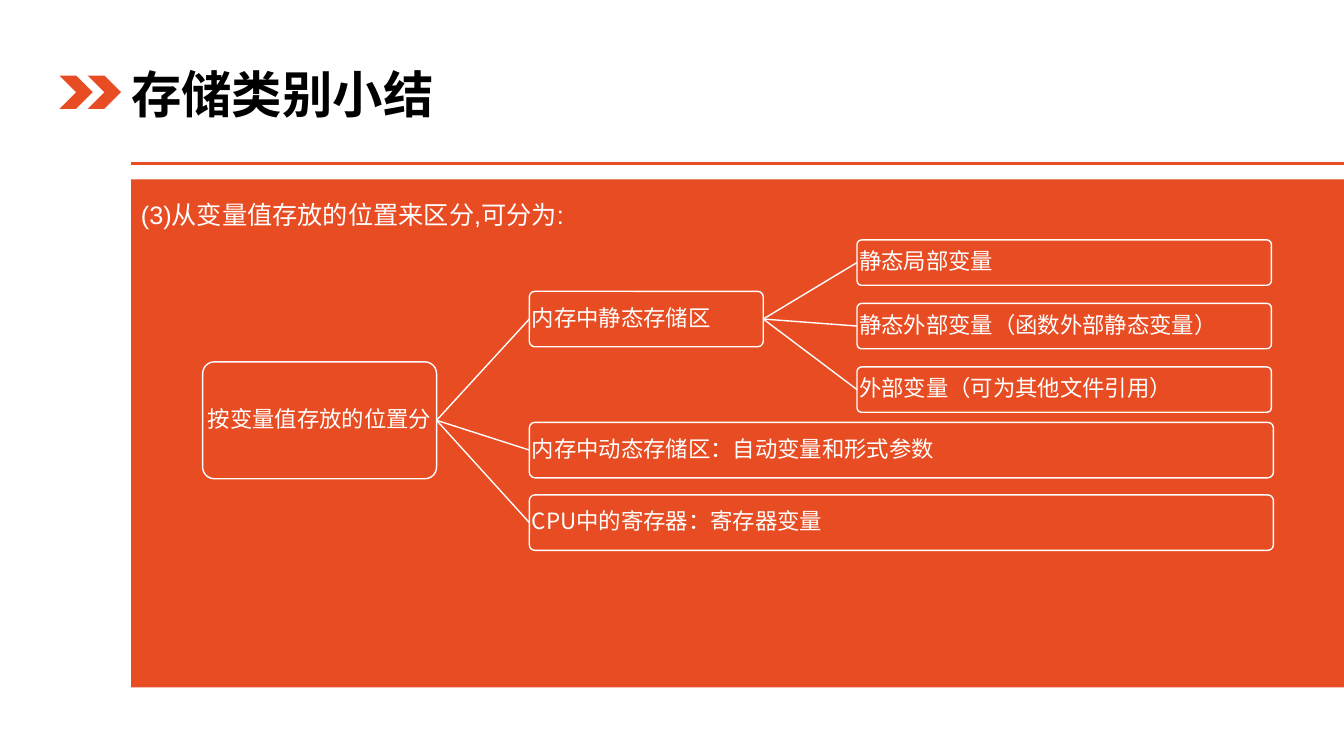
import pptx
import pptx.util
import pptx.dml.color
import pptx.enum.shapes
import pptx.enum.text
import pptx.oxml
import pptx.oxml.ns
from dataclasses import dataclass

Inches, Pt = pptx.util.Inches, pptx.util.Pt
RGB = pptx.dml.color.RGBColor
SHAPE = pptx.enum.shapes.MSO_SHAPE
STRAIGHT = pptx.enum.shapes.MSO_CONNECTOR.STRAIGHT
ALIGN, ANCHOR = pptx.enum.text.PP_ALIGN, pptx.enum.text.MSO_ANCHOR


@dataclass(frozen=True)
class Theme:
    accent: RGB = RGB(0xE8, 0x4C, 0x22)
    white: RGB = RGB(0xFF, 0xFF, 0xFF)
    black: RGB = RGB(0, 0, 0)
    latin: str = "Arial"
    cjk: str = "Noto Sans CJK SC"
    title: int = 36
    heading: int = 18
    node: int = 16


T = Theme()

# Each node: text, top and height from the panel's top, width, children
LEAVES = ["静态局部变量", "静态外部变量（函数外部静态变量）", "外部变量（可为其他文件引用）"]
TREE = ("按变量值存放的位置分", 1.81, 1.16, 2.32, [
    ("内存中静态存储区", 1.11, 0.55, 2.32,
     [(text, 0.6 + 0.63 * i, 0.45, 4.11, []) for i, text in enumerate(LEAVES)]),
    ("内存中动态存储区：自动变量和形式参数", 2.41, 0.55, 7.38, []),
    ("CPU中的寄存器：寄存器变量", 3.13, 0.55, 7.38, []),
])
COLUMNS = [0.71, 3.95, 7.2]  # node lefts by depth, from the panel's left


def write(tf, text, size, color, font, bold=False, align=ALIGN.LEFT):
    tf.text = text
    tf.word_wrap = True
    p = tf.paragraphs[0]
    p.alignment = align
    r = p.runs[0]
    r.font.size, r.font.bold, r.font.name = Pt(size), bold, font
    r.font.color.rgb = color
    ea = pptx.oxml.parse_xml(f'<a:ea {pptx.oxml.ns.nsdecls("a")} typeface="{T.cjk}"/>')
    r.font._element.find(pptx.oxml.ns.qn("a:latin")).addnext(ea)
    return p


def add_box(s, kind, x, y, w, h, line=None):
    sp = s.shapes.add_shape(kind, Inches(x), Inches(y), Inches(w), Inches(h))
    sp.shadow.inherit = False
    sp.fill.solid()
    sp.fill.fore_color.rgb = T.accent
    if line:
        sp.line.color.rgb, sp.line.width = line, Pt(1)
    else:
        sp.line.fill.background()
    return sp


def add_line(s, color, width, x1=0, y1=0, x2=0, y2=0):
    c = s.shapes.add_connector(STRAIGHT, Inches(x1), Inches(y1), Inches(x2), Inches(y2))
    c.line.color.rgb, c.line.width = color, Pt(width)
    c._element.spPr.append(
        pptx.oxml.parse_xml(f'<a:effectLst {pptx.oxml.ns.nsdecls("a")}/>'))
    return c


def add_header(s, x, y, w, h):
    # Double chevron
    for i in range(2):
        add_box(s, SHAPE.CHEVRON, x + 0.28 * i, y + 0.22, 0.33, 0.33)
    # Title
    title = s.shapes.title
    title.left, title.top = Inches(x + 0.61), Inches(y)
    title.width, title.height = Inches(5.94), Inches(0.79)
    tf = title.text_frame
    tf.vertical_anchor = ANCHOR.MIDDLE
    tf.auto_size = pptx.enum.text.MSO_AUTO_SIZE.NONE
    write(tf, "存储类别小结", T.title, T.black, T.cjk, bold=True)
    # Rule under the title
    add_line(s, T.accent, 2.25, x + 0.71, y + h, x + w, y + h)


def add_node(s, x, y, node, depth=0):
    text, top, h, w, children = node
    sp = add_box(s, SHAPE.ROUNDED_RECTANGLE, x + COLUMNS[depth], y + top, w, h, T.white)
    sp.adjustments[0] = 0.1
    tf = sp.text_frame
    tf.margin_left = tf.margin_right = tf.margin_top = tf.margin_bottom = Inches(0.01)
    tf.vertical_anchor = ANCHOR.MIDDLE
    align = ALIGN.LEFT if depth else ALIGN.CENTER
    p = write(tf, text, T.node, T.white, T.cjk, align=align)
    p.line_spacing = 0.9
    for child in children:
        child_sp = add_node(s, x, y, child, depth + 1)
        c = add_line(s, T.white, 1)
        c.begin_connect(sp, 3)
        c.end_connect(child_sp, 1)
    return sp


def add_panel(s, x, y, w, h):
    # Background with heading
    panel = add_box(s, SHAPE.RECTANGLE, x, y, w, h)
    tf = panel.text_frame
    tf.vertical_anchor = ANCHOR.TOP
    p = write(tf, "(3)从变量值存放的位置来区分,可分为:", T.heading, T.white, T.latin)
    p.line_spacing = 1.5
    # Classification tree
    add_node(s, x, y, TREE)


def main():
    prs = pptx.Presentation()
    prs.slide_width, prs.slide_height = Inches(13.33), Inches(7.5)
    s = prs.slides.add_slide(prs.slide_layouts[5])
    add_header(s, 0.59, 0.53, 12.74, 1.09)
    add_panel(s, 1.3, 1.78, 12.03, 5.04)
    prs.save("out.pptx")


if __name__ == "__main__":
    main()
